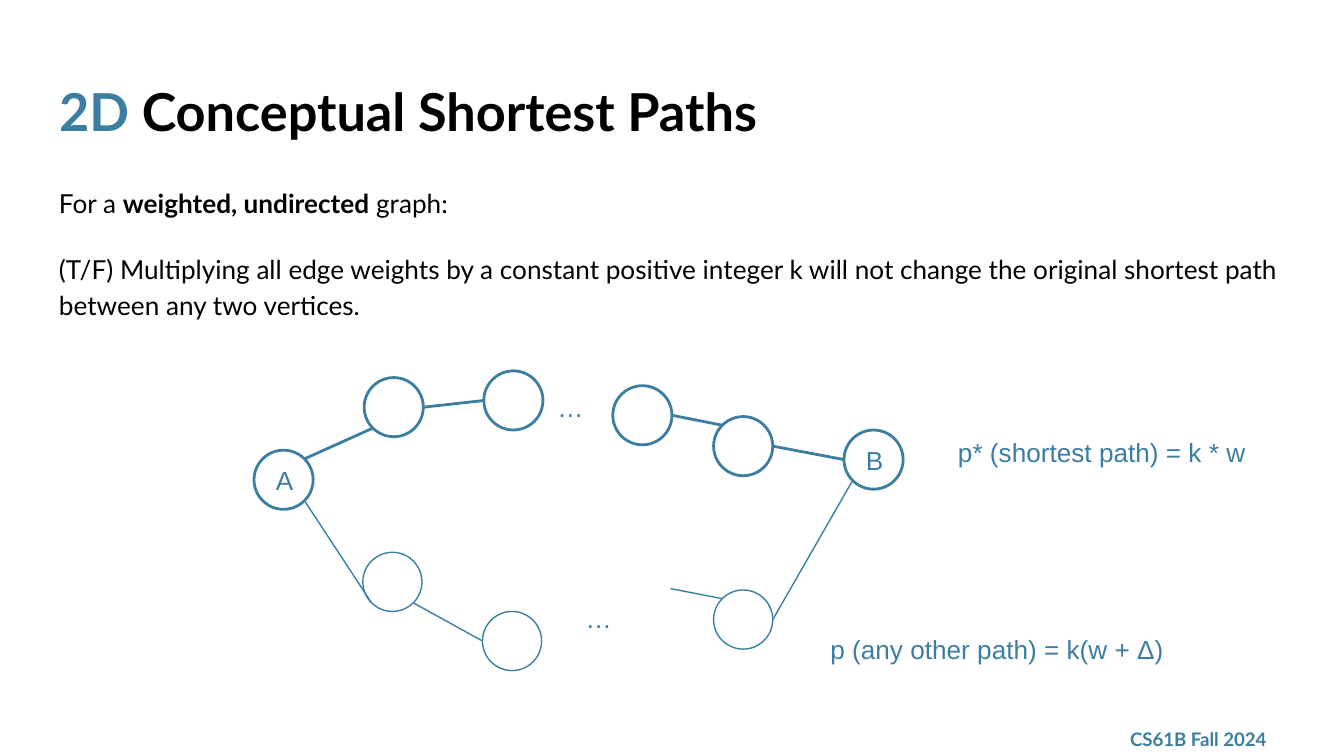
from typing import NamedTuple

from lxml import etree
from pptx import Presentation
from pptx.dml.color import RGBColor
from pptx.enum import shapes, text
from pptx.oxml.ns import qn
from pptx.util import Inches, Pt

COLORS = {"blue": "3B7EA1", "black": "000000", "white": "FFFFFF"}
WIDTH = Inches(10)
HEIGHT = WIDTH * 9 // 16
SIZE = 0.44
THICK, THIN = 1.5, 0.75

# Unit offsets from a node's centre to a point on its rim
DIAG = 0.5 ** 0.5
RIM = {"left": (-1, 0), "right": (1, 0), "nw": (-DIAG, -DIAG),
       "ne": (DIAG, -DIAG), "sw": (-DIAG, DIAG), "se": (DIAG, DIAG)}


class Node(NamedTuple):
    left: float
    top: float
    width: float = THICK
    label: str = ""

    def rim(self, side: str) -> tuple[float, float]:
        dx, dy = RIM[side]
        half = SIZE / 2
        return self.left + half * (1 + dx), self.top + half * (1 + dy)


class Run(NamedTuple):
    words: str
    size: float = 14
    font: str = "Arial"
    color: str = "blue"
    bold: bool = False


class Note(NamedTuple):
    box: tuple[float, float, float, float]
    run: Run
    anchor: text.MSO_ANCHOR = text.MSO_ANCHOR.TOP


NODES = {
    "A": Node(1.89, 3.35, label="A"),
    "B": Node(6.28, 3.2, label="B"),
    "top1": Node(2.71, 2.81),
    "top2": Node(3.6, 2.76),
    "top3": Node(4.56, 2.87),
    "top4": Node(5.31, 3.1),
    "low1": Node(2.7, 4.11, THIN),
    "low2": Node(3.59, 4.55, THIN),
    "low3": Node(5.31, 4.39, THIN),
}
EDGES = [
    ("A", "ne", "top1", "sw", THICK),
    ("top1", "right", "top2", "left", THICK),
    ("top3", "right", "top4", "nw", THICK),
    ("top4", "right", "B", "left", THICK),
    ("A", "se", "low1", "sw", THIN),
    ("low1", "se", "low2", "left", THIN),
    ("low3", "right", "B", "sw", THIN),
]
NOTES = [
    Note((4.26, 4.38, 0.5, 0.44), Run("…")),
    Note((4.05, 2.81, 0.5, 0.44), Run("…")),
    Note((7.03, 3.15, 2.53, 0.44), Run("p* (shortest path) = k * w")),
    Note((6.08, 4.61, 3.02, 0.44), Run("p (any other path) = k(w + Δ)")),
    Note((8.31, 5.37, 1.35, 0.26),
         Run("CS61B Fall 2024", 10, "Lato", bold=True), text.MSO_ANCHOR.MIDDLE),
]
TITLE = [Run("2D", 28, "Lato", "blue", True),
         Run(" Conceptual Shortest Paths", 28, "Lato", "black", True)]
BODY = [
    [Run("For a ", 14, "Lato", "black"),
     Run("weighted, undirected", 14, "Lato", "black", True),
     Run(" graph:", 14, "Lato", "black")],
    [Run("(T/F) Multiplying all edge weights by a constant positive integer k "
         "will not change the original shortest path between any two vertices.",
         14, "Lato", "black")],
]


def rgb(name: str) -> RGBColor:
    return RGBColor.from_string(COLORS[name])


def frame(shape, anchor=text.MSO_ANCHOR.TOP):
    body = shape.text_frame
    pad = Inches(0.1)
    style = {"margin_left": pad, "margin_right": pad, "margin_top": pad,
             "margin_bottom": pad, "word_wrap": True,
             "auto_size": text.MSO_AUTO_SIZE.NONE, "vertical_anchor": anchor}
    for key, value in style.items():
        setattr(body, key, value)
    return body


def write(para, runs: list[Run]) -> None:
    para.alignment = text.PP_ALIGN.LEFT
    for item in runs:
        run = para.add_run()
        run.text = item.words
        style = {"size": Pt(item.size), "name": item.font, "bold": item.bold}
        for key, value in style.items():
            setattr(run.font, key, value)
        run.font.color.rgb = rgb(item.color)


def add_box(slide, box: tuple[float, float, float, float]):
    return slide.shapes.add_textbox(*map(Inches, box))


def add_title(slide) -> None:
    title = slide.shapes.title
    spots = {"left": 0.34, "top": 0.49, "width": 9.32, "height": 0.63}
    for key, value in spots.items():
        setattr(title, key, Inches(value))
    para = frame(title).paragraphs[0]
    para.line_spacing = 1.0
    para.space_before = Pt(0)
    write(para, TITLE)


def add_body(slide) -> None:
    body = frame(add_box(slide, (0.34, 1.26, 9.32, 1.32)))
    for index, runs in enumerate(BODY):
        para = body.add_paragraph() if index else body.paragraphs[0]
        para.line_spacing = 1.15
        para.space_before = Pt(16 if index else 0)
        write(para, runs)


def add_note(slide, note: Note) -> None:
    body = frame(add_box(slide, note.box), note.anchor)
    write(body.paragraphs[0], [note.run])


def add_node(slide, node: Node) -> None:
    oval = slide.shapes.add_shape(
        shapes.MSO_SHAPE.OVAL, Inches(node.left), Inches(node.top),
        Inches(SIZE), Inches(SIZE))
    oval.shadow.inherit = False
    oval.fill.background()
    oval.line.color.rgb = rgb("blue")
    oval.line.width = Pt(node.width)
    if node.label:
        body = frame(oval, text.MSO_ANCHOR.MIDDLE)
        write(body.paragraphs[0], [Run(node.label)])


def add_edge(slide, start: tuple[float, float], end: tuple[float, float],
             width: float) -> None:
    edge = slide.shapes.add_connector(
        shapes.MSO_CONNECTOR.STRAIGHT, *map(Inches, (*start, *end)))
    edge.line.color.rgb = rgb("blue")
    edge.line.width = Pt(width)
    etree.SubElement(edge._element.spPr, qn("a:effectLst"))


def main() -> None:
    deck = Presentation()
    deck.slide_width, deck.slide_height = WIDTH, HEIGHT
    slide = deck.slides.add_slide(deck.slide_layouts[5])
    slide.background.fill.solid()
    slide.background.fill.fore_color.rgb = rgb("white")
    add_title(slide)
    add_body(slide)
    for node in NODES.values():
        add_node(slide, node)
    for start, out, end, into, width in EDGES:
        add_edge(slide, NODES[start].rim(out), NODES[end].rim(into), width)
    # The edge after the gap in the lower path has no node at its start
    add_edge(slide, (4.99, 4.38), NODES["low3"].rim("nw"), THIN)
    for note in NOTES:
        add_note(slide, note)
    deck.save("out.pptx")


if __name__ == "__main__":
    main()
